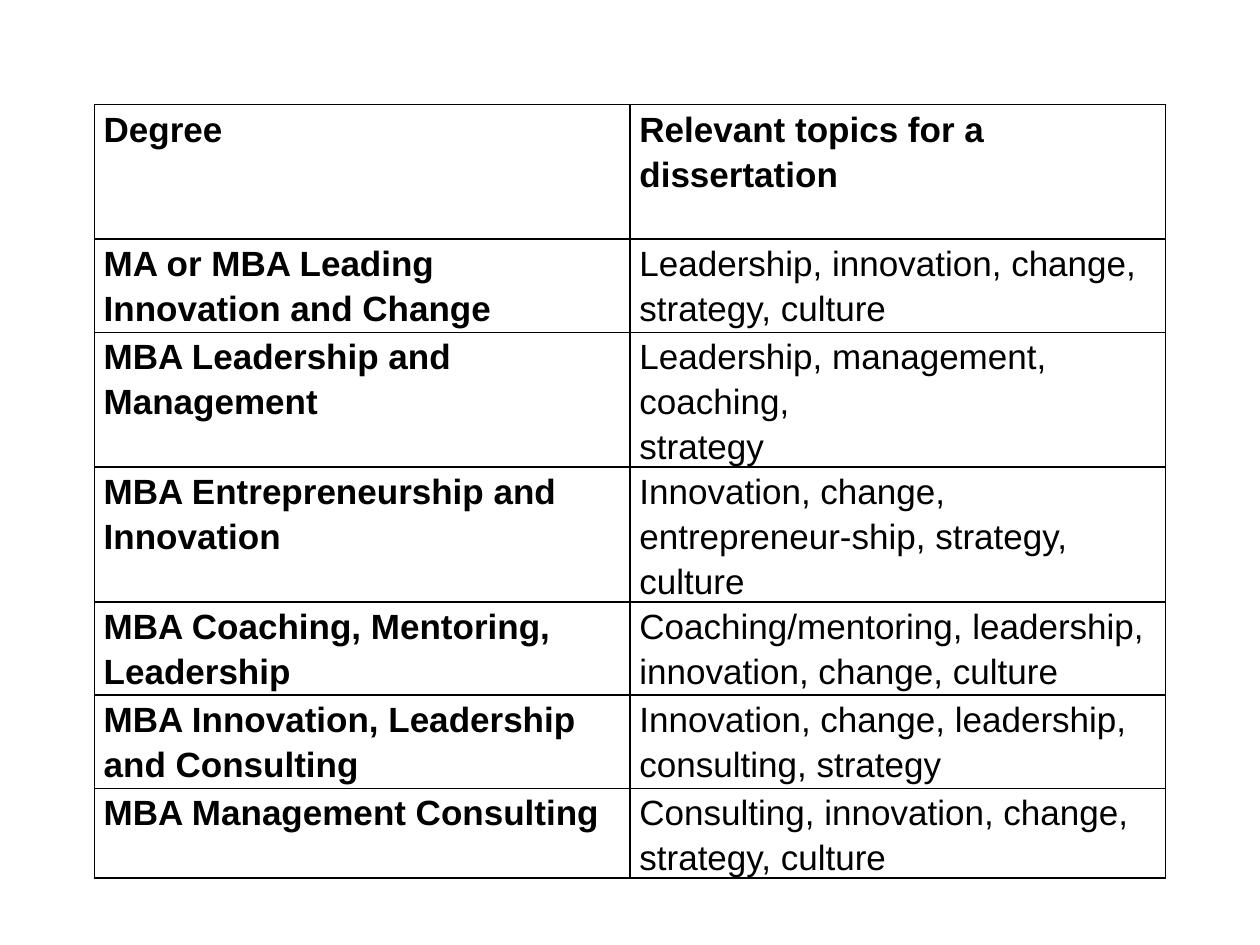
import lxml.etree
import pptx
import pptx.dml.color
import pptx.oxml.ns
import pptx.util

COLORS = {"background": "FFFFFF", "text": "000000", "border": "000000"}

HEADER = ("Degree", "Relevant topics for a dissertation")
DEGREES = [
    ("MA or MBA Leading Innovation and Change",
     "Leadership, innovation, change, strategy, culture"),
    ("MBA Leadership and Management",
     "Leadership, management, coaching,\nstrategy"),
    ("MBA Entrepreneurship and Innovation",
     "Innovation, change, entrepreneur-ship, strategy, culture"),
    ("MBA Coaching, Mentoring, Leadership",
     "Coaching/mentoring, leadership, innovation, change, culture"),
    ("MBA Innovation, Leadership and Consulting",
     "Innovation, change, leadership, consulting, strategy"),
    ("MBA Management Consulting",
     "Consulting, innovation, change, strategy, culture"),
]
ROW_HEIGHTS = [2.71, 1.88, 1.8, 1.88, 1.88, 1.88, 1.8]


class SlideBuilder:
    font_name = "Arial"
    font_size = 20
    line_spacing = 1.15
    side_margin = 0.19
    border_width = 1

    def __init__(self, slide):
        self.slide = slide

    def color(self, name):
        return pptx.dml.color.RGBColor.from_string(COLORS[name])

    def background(self):
        fill = self.slide.background.fill
        fill.solid()
        fill.fore_color.rgb = self.color("background")

    def borders(self, cell):
        qn = pptx.oxml.ns.qn
        properties = cell._tc.get_or_add_tcPr()
        for side in ("lnL", "lnR", "lnT", "lnB"):
            line = lxml.etree.SubElement(
                properties, qn(f"a:{side}"),
                w=str(pptx.util.Pt(self.border_width)))
            fill = lxml.etree.SubElement(line, qn("a:solidFill"))
            lxml.etree.SubElement(fill, qn("a:srgbClr"), val=COLORS["border"])

    def cell(self, cell, text, bold):
        cell.margin_left = cell.margin_right = pptx.util.Cm(self.side_margin)
        cell.margin_top = cell.margin_bottom = 0
        self.borders(cell)
        cell.fill.background()
        cell.text_frame.text = text
        for paragraph in cell.text_frame.paragraphs:
            paragraph.line_spacing = self.line_spacing
            for run in paragraph.runs:
                run.font.name = self.font_name
                run.font.size = pptx.util.Pt(self.font_size)
                run.font.bold = bold
                run.font.color.rgb = self.color("text")

    def table(self, left, top, width, rows, heights):
        Cm = pptx.util.Cm
        columns = len(rows[0])
        shape = self.slide.shapes.add_table(
            len(rows), columns, Cm(left), Cm(top), Cm(width), Cm(sum(heights)))
        table = shape.table
        table.first_row = False
        table.horz_banding = False
        for column in table.columns:
            column.width = Cm(width / columns)
        for row_index, (texts, height) in enumerate(zip(rows, heights)):
            table.rows[row_index].height = Cm(height)
            for column_index, text in enumerate(texts):
                bold = row_index == 0 or column_index == 0
                self.cell(table.cell(row_index, column_index), text, bold)


def main():
    presentation = pptx.Presentation()
    presentation.slide_width = pptx.util.Cm(25.4)
    presentation.slide_height = pptx.util.Cm(19.05)
    slide = presentation.slides.add_slide(presentation.slide_layouts[6])
    builder = SlideBuilder(slide)
    builder.background()
    builder.table(1.9, 2.11, 21.6, [HEADER] + DEGREES, ROW_HEIGHTS)
    presentation.save("out.pptx")


if __name__ == "__main__":
    main()
